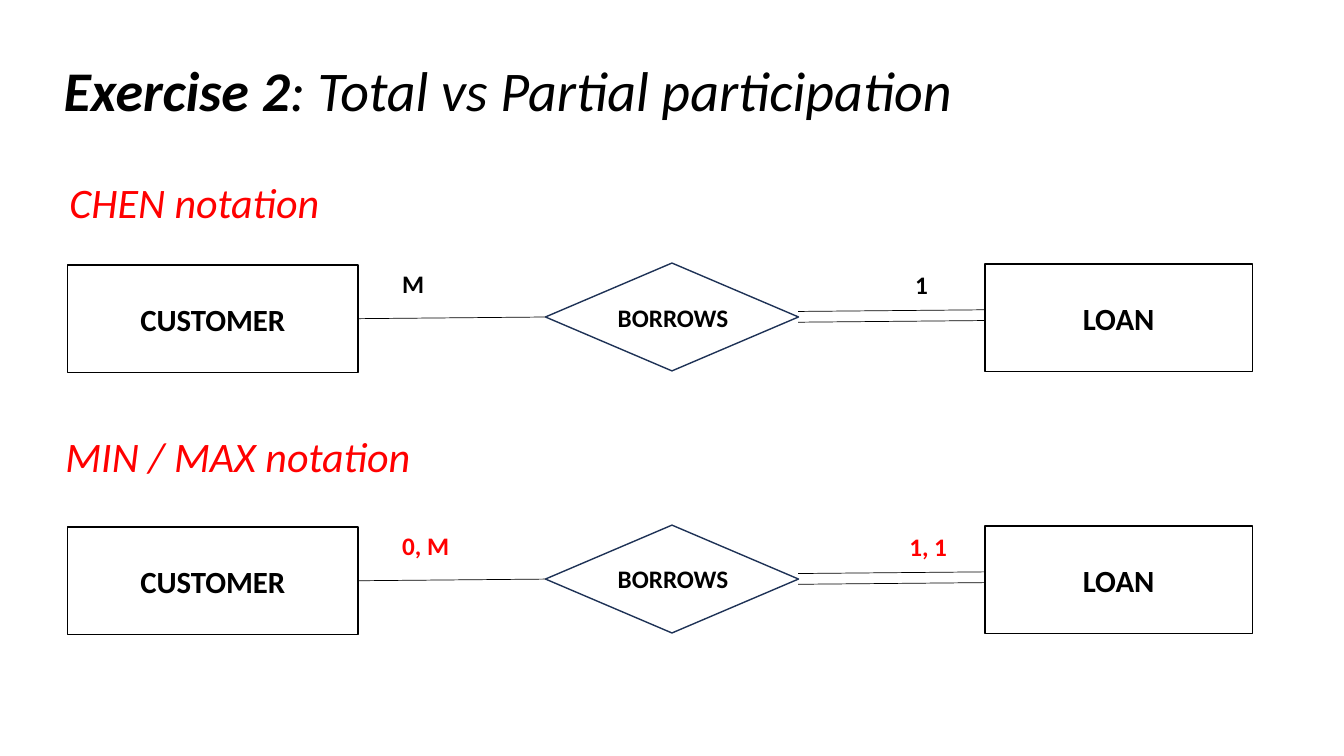
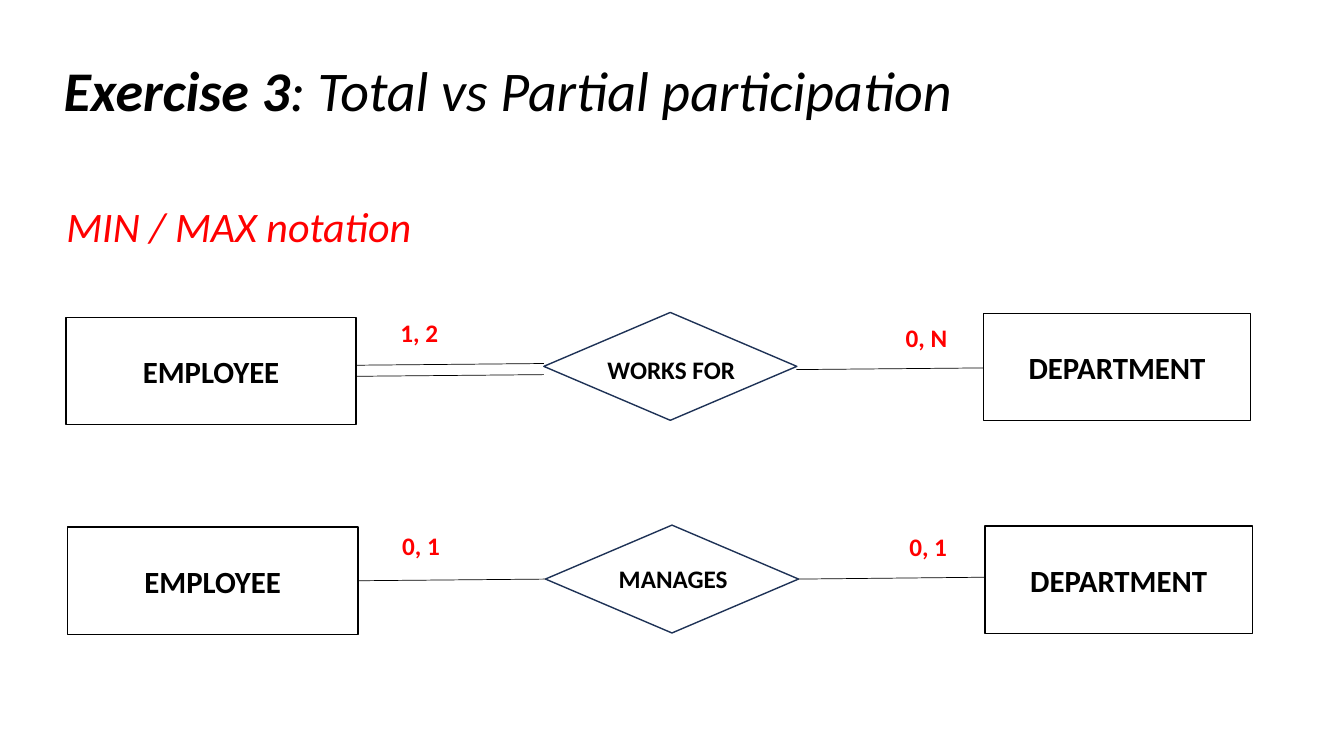
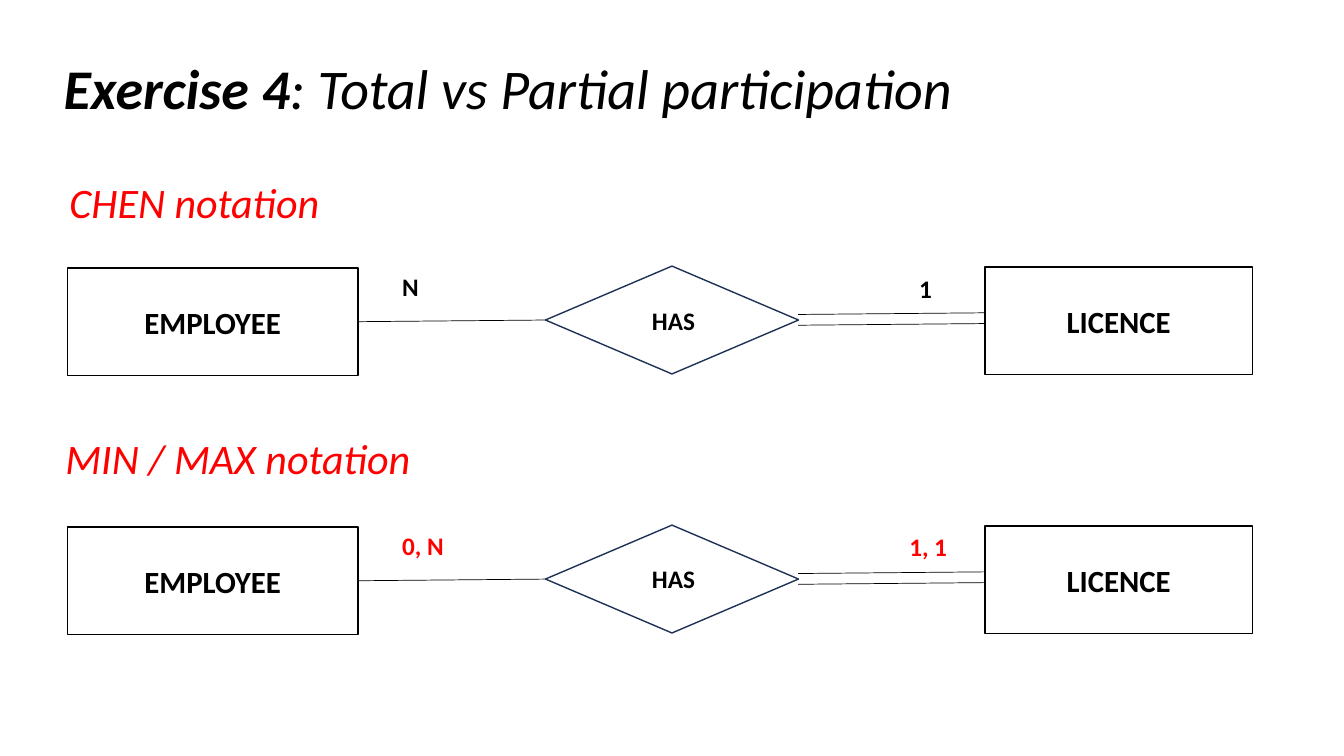
import dataclasses

import lxml.etree
import pptx
import pptx.dml.color
import pptx.enum.shapes
import pptx.enum.text
import pptx.oxml.ns
import pptx.util

SHAPE = pptx.enum.shapes.MSO_SHAPE
ALIGN = pptx.enum.text.PP_ALIGN
ANCHOR = pptx.enum.text.MSO_ANCHOR


@dataclasses.dataclass(frozen=True)
class Theme:
    font: str = "Calibri"
    ink: str = "000000"
    accent: str = "FF0000"
    paper: str = "FFFFFF"
    diamond_line: str = "1E3256"
    title_size: int = 40
    heading_size: int = 30
    entity_size: int = 22
    label_size: int = 18
    outline: float = 1
    link: float = 0.5


# Columns that each short label takes, insets included
LABEL_COLUMNS = {
    "M": 1.26, "N": 1.11, "1": 0.99, "0, M": 2.01, "0, N": 1.86,
    "0, 1": 1.74, "1, 1": 1.74, "1, 2": 1.74,
    "BORROWS": 3.93, "MANAGES": 3.87, "WORKS FOR": 4.44, "HAS": 1.89,
}


def cells(count):
    """The grid has 40 columns and 22.5 rows of a third of an inch."""
    return pptx.util.Inches(count / 3)


def color(code):
    return pptx.dml.color.RGBColor.from_string(code)


class Sketch:
    def __init__(self, theme):
        self.theme = theme
        self.deck = pptx.Presentation()
        self.deck.slide_width = pptx.util.Inches(13.33)
        self.deck.slide_height = pptx.util.Inches(7.5)
        self.page = None

    def new_page(self):
        self.page = self.deck.slides.add_slide(self.deck.slide_layouts[6])

    # Text
    def style(self, para, size, ink, bold=False, italic=False):
        font = para.font
        font.name, font.size = self.theme.font, pptx.util.Pt(size)
        font.bold, font.italic = bold, italic
        font.color.rgb = color(ink)

    def text_box(self, left, top, width, height, words, anchor):
        box = self.page.shapes.add_textbox(*map(cells, (left, top, width, height)))
        frame = box.text_frame
        frame.word_wrap = True
        frame.vertical_anchor = anchor
        para = frame.paragraphs[0]
        para.add_run().text = words
        return frame, para

    def title(self, lead, rest, top=1.2):
        _, para = self.text_box(1.6, top, 37.4, 3.18, lead, ANCHOR.MIDDLE)
        para.line_spacing = 0.9
        self.style(para, self.theme.title_size, self.theme.ink, bold=True, italic=True)
        span = para.add_run()
        span.text = rest
        span.font.bold = False

    def heading(self, words, left, top, height=2.04):
        _, para = self.text_box(left, top, 37.4, height, words, ANCHOR.BOTTOM)
        para.line_spacing = 0.9
        self.style(para, self.theme.heading_size, self.theme.accent, italic=True)

    def label(self, words, top, ink, left=None, center=None):
        width = LABEL_COLUMNS[words]
        if left is None:
            left = center - width / 2
        frame, para = self.text_box(left, top, width, 1.2, words, ANCHOR.TOP)
        frame.word_wrap = False
        frame.auto_size = pptx.enum.text.MSO_AUTO_SIZE.SHAPE_TO_FIT_TEXT
        self.style(para, self.theme.label_size, ink, bold=True)

    # Shapes
    def outline(self, kind, left, top, width, height, line):
        shape = self.page.shapes.add_shape(kind, *map(cells, (left, top, width, height)))
        shape.shadow.inherit = False
        shape.line.color.rgb = color(line)
        shape.line.width = pptx.util.Pt(self.theme.outline)
        return shape

    def entity(self, name, left, top, width):
        box = self.outline(SHAPE.RECTANGLE, left, top, width, 3.19, self.theme.ink)
        box.fill.solid()
        box.fill.fore_color.rgb = color(self.theme.paper)
        box.text_frame.vertical_anchor = ANCHOR.MIDDLE
        para = box.text_frame.paragraphs[0]
        para.add_run().text = name
        para.alignment = ALIGN.CENTER
        self.style(para, self.theme.entity_size, self.theme.ink, bold=True)
        return box

    def diamond(self, left, top):
        shape = self.outline(SHAPE.FLOWCHART_DECISION, left, top, 7.53, 3.21,
                             self.theme.diamond_line)
        shape.fill.background()
        return shape

    def link(self, start_x, start_y, end_x, end_y):
        line = self.page.shapes.add_connector(
            pptx.enum.shapes.MSO_CONNECTOR.STRAIGHT,
            *map(cells, (start_x, start_y, end_x, end_y)))
        line.line.color.rgb = color(self.theme.ink)
        line.line.width = pptx.util.Pt(self.theme.link)
        lxml.etree.SubElement(line._element.spPr, pptx.oxml.ns.qn("a:effectLst"))
        return line

    # One relationship: entity, diamond, entity; links are offsets from the middle
    def relation(self, top, names, limits, ink=None, left_links=(0,), right_links=(0,),
                 shift=0, drops=(0.06, 0.03), limit_center=27.63, limit_drop=0.04,
                 verb_drop=0.99):
        ink = ink or self.theme.ink
        first, verb, second = names
        middle, tilt = top + 1.6, 0.05
        owner = self.entity(first, 2.01 + shift, top + drops[0], 8.64)
        target = self.entity(second, 29.31 + shift, top + drops[1], 7.95)
        bond = self.diamond(16.23 + shift, top)
        for offset in left_links:
            y = middle + offset
            line = self.link(10.65 + shift, y + tilt, 16.23 + shift, y)
            if offset == 0:
                line.begin_connect(owner, 3)
                line.end_connect(bond, 1)
        for offset in right_links:
            y = middle + offset
            line = self.link(23.75 + shift, y, 29.31 + shift, y - tilt)
            if offset == 0:
                line.begin_connect(bond, 3)
        self.label(limits[0], top, ink, left=11.67 + shift)
        self.label(limits[1], top + limit_drop, ink, center=limit_center + shift)
        self.label(verb, top + verb_drop, self.theme.ink, center=20.05 + shift)


def main():
    theme = Theme()
    sketch = Sketch(theme)
    subject = ": Total vs Partial participation"
    chen, min_max = "CHEN notation", "MIN / MAX notation"
    double = (-0.16, 0.16)
    low_row = 15.63

    # Exercise 2
    names = ("CUSTOMER", "BORROWS", "LOAN")
    sketch.new_page()
    sketch.title("Exercise 2", subject)
    sketch.heading(chen, 1.77, 4.95, 1.98)
    sketch.relation(7.83, names, ("M", "1"), right_links=double,
                    limit_center=27.43, verb_drop=1.02)
    sketch.heading(min_max, 1.65, 12.45)
    sketch.relation(low_row, names, ("0, M", "1, 1"), theme.accent, right_links=double)

    # Exercise 3
    sketch.new_page()
    sketch.title("Exercise 3", subject)
    sketch.heading(min_max, 1.68, 5.52, 2.13)
    sketch.relation(9.3, ("EMPLOYEE", "WORKS FOR", "DEPARTMENT"), ("1, 2", "0, N"),
                    theme.accent, left_links=(-0.08, 0.25), right_links=(0.1,),
                    shift=-0.05, drops=(0.15, 0.03), limit_drop=0.15, verb_drop=1.11)
    sketch.relation(low_row, ("EMPLOYEE", "MANAGES", "DEPARTMENT"), ("0, 1", "0, 1"),
                    theme.accent)

    # Exercise 4
    names = ("EMPLOYEE", "HAS", "LICENCE")
    sketch.new_page()
    sketch.title("Exercise 4", subject, top=1.14)
    sketch.heading(chen, 1.77, 4.95, 1.98)
    sketch.relation(7.92, names, ("N", "1"), right_links=double,
                    limit_center=27.55, limit_drop=0.06, verb_drop=1.02)
    sketch.heading(min_max, 1.65, 12.51)
    sketch.relation(low_row, names, ("0, N", "1, 1"), theme.accent, right_links=double)

    sketch.deck.save("out.pptx")


if __name__ == "__main__":
    main()
